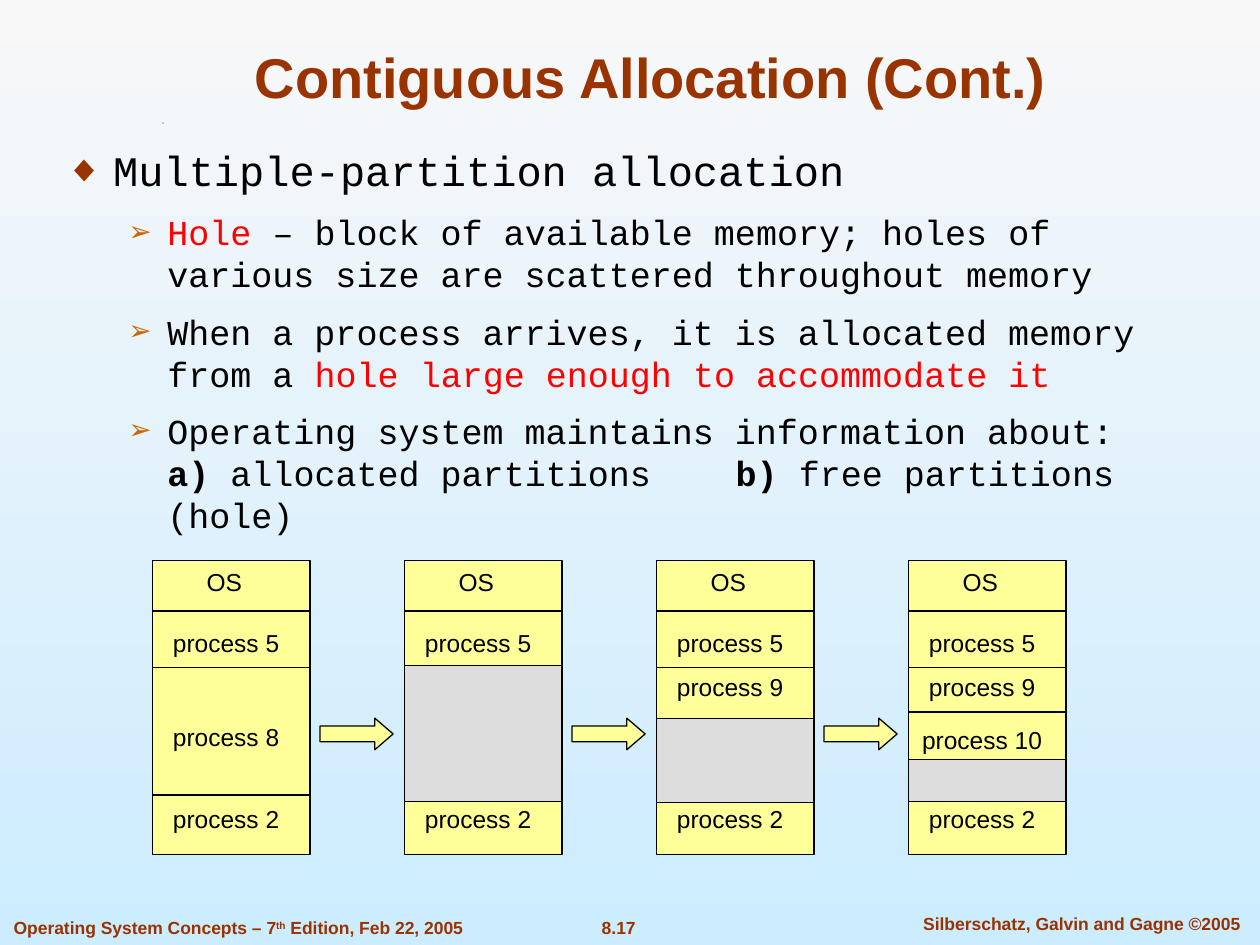
"""Build the contiguous allocation slide on a grid of 100 columns by 75 rows."""
from lxml import etree
from pptx import Presentation
from pptx.dml.color import RGBColor
from pptx.enum.shapes import MSO_CONNECTOR, MSO_SHAPE
from pptx.enum.text import MSO_ANCHOR, PP_ALIGN
from pptx.oxml.ns import qn
from pptx.util import Inches, Pt

LEFT, MID = PP_ALIGN.LEFT, PP_ALIGN.CENTER
TOP, CENTER, BASE = MSO_ANCHOR.TOP, MSO_ANCHOR.MIDDLE, MSO_ANCHOR.BOTTOM
RECT, ARROW = MSO_SHAPE.RECTANGLE, MSO_SHAPE.RIGHT_ARROW
LINE = MSO_CONNECTOR.STRAIGHT
COLORS = {
    "rust": "993300", "amber": "CC6600", "red": "FF0000", "ink": "000000",
    "used": "FFFF99", "free": "DDDDDD", "sky": "F8F8F8", "pool": "CCECFF",
}
SANS, MONO = "Arial", "Courier New"


def grid(*cells):
    return [Inches(cell / 10) for cell in cells]


def color(name):
    return RGBColor.from_string(COLORS[name])


def child(parent, tag, **attrs):
    return etree.SubElement(parent, qn(tag), attrs)


class Deck:
    """Hold the style and the current slide."""

    def __init__(self):
        self.show = Presentation()
        self.show.slide_width, self.show.slide_height = grid(100, 75)
        self.slide = self.show.slides.add_slide(self.show.slide_layouts[5])
        self.shapes = self.slide.shapes
        fill = self.slide.background.fill
        fill.gradient()
        fill.gradient_angle = 270
        for stop, name in zip(fill.gradient_stops, ("sky", "pool")):
            stop.color.rgb = color(name)

    def run(self, para, text, size, name="ink", bold=False, face=SANS, lift=0):
        run = para.add_run()
        run.text = text
        font = run.font
        font.size, font.name, font.bold = Pt(size), face, bold
        font.color.rgb = color(name)
        if lift:
            run._r.get_or_add_rPr().set("baseline", str(lift * 1000))

    def title(self, text, box):
        head = self.shapes.title
        head.left, head.top, head.width, head.height = grid(*box)
        head.text_frame.vertical_anchor = BASE
        para = head.text_frame.paragraphs[0]
        para.alignment = MID
        self.run(para, text, 32, "rust", True)

    def frame(self, box, anchor=TOP, wrap=True):
        frame = self.shapes.add_textbox(*grid(*box)).text_frame
        frame.word_wrap, frame.vertical_anchor = wrap, anchor
        return frame

    def label(self, text, box, wrap=True):
        para = self.frame(box, CENTER, wrap).paragraphs[0]
        para.alignment = MID
        self.run(para, text, 14)

    def footer(self, parts, box, align=MID, wrap=False):
        para = self.frame(box, wrap=wrap).paragraphs[0]
        para.alignment = align
        for text, lift in parts:
            self.run(para, text, 10, "rust", True, lift=lift)

    def bullet(self, para, mark, name, share, left, hang, tab):
        props = para._p.get_or_add_pPr()
        props.set("marL", str(Inches(left)))
        props.set("indent", str(-Inches(hang)))
        child(child(props, "a:buClr"), "a:srgbClr", val=COLORS[name])
        child(props, "a:buSzPct", val=str(share * 1000))
        child(props, "a:buFont", typeface=SANS)
        child(props, "a:buChar", char=mark)
        if tab:
            child(child(props, "a:tabLst"), "a:tab", pos=str(Inches(tab)), algn="l")

    def body(self, items, box):
        frame = self.frame(box)
        for row, (level, tab, lines) in enumerate(items):
            para = frame.add_paragraph() if row else frame.paragraphs[0]
            if level:
                self.bullet(para, "➢", "amber", 80, 0.81, 0.31, tab)
                para.level, para.space_before = level, Pt(8.8)
            else:
                self.bullet(para, "◆", "rust", 90, 0.38, 0.38, tab)
            for count, line in enumerate(lines):
                if count:
                    para.add_line_break()
                for text, name, bold in line:
                    self.run(para, text, 20 if level else 24, name, bold, MONO)

    def block(self, kind, fill, box):
        shape = self.shapes.add_shape(kind, *grid(*box))
        shape.shadow.inherit = False
        shape.fill.solid()
        shape.fill.fore_color.rgb = color(fill)
        shape.line.color.rgb = color("ink")
        shape.line.width = Pt(0.75)
        return shape

    def rule(self, left, top, width):
        line = self.shapes.add_connector(LINE, *grid(left, top, left + width, top))
        line.line.color.rgb = color("ink")
        line.line.width = Pt(0.75)
        child(line._element.spPr, "a:effectLst")

    def speck(self, left, top, size):
        pen = self.shapes.build_freeform(*grid(left, top + size), scale=1)
        pen.add_line_segments([grid(left, top), grid(left + size, top + size)])
        dot = pen.convert_to_shape()
        dot.shadow.inherit = False
        dot.fill.solid()
        dot.fill.fore_color.rgb = color("ink")
        dot.line.fill.background()

    def memory(self, left, labels, rules, hole):
        wide = 12.5
        self.block(RECT, "used", (left, 44.5, wide, 23.3))
        for top in (48.5, 53, 63.1, *rules):
            self.rule(left, top, wide)
        if hole:
            top, high = hole
            self.block(RECT, "free", (left, top, wide, high))
        self.label("OS", (left + 3.3, 44.5, 4.8, 3.4), False)
        for name, top in (("5", 49.3), *labels, ("2", 63.3)):
            self.label(f"process {name}", (left, top, 11.7, 3.4))

    def arrow(self, left):
        shape = self.block(ARROW, "used", (left, 57, 5.8, 2.5))
        shape.adjustments[0], shape.adjustments[1] = 0.5, 0.58


ITEMS = [
    (0, 0, [[("Multiple-partition allocation", "ink", False)]]),
    (1, 0, [[("Hole", "red", False),
             (" – block of available memory; holes of various size are "
              "scattered throughout memory", "ink", False)]]),
    (1, 0, [[("When a process arrives, it is allocated memory from a ", "ink", False),
             ("hole large enough to accommodate it", "red", False)]]),
    (1, 5.32, [[("Operating system maintains information about:", "ink", False)],
               [("a) ", "ink", True), ("allocated partitions\t", "ink", False),
                ("b) ", "ink", True), ("free partitions (hole)", "ink", False)]]),
]
STATES = [
    ([("8", 56.8)], [], None),
    ([], [], (52.8, 10.8)),
    ([("9", 52.8)], [], (57, 6.7)),
    ([("9", 52.8), ("10", 57)], [56.5], (60.3, 3.3)),
]


def main():
    deck = Deck()
    deck.footer([("8.17", 0)], (44.2, 72.3, 9.8, 2.7))
    deck.footer([("Silberschatz, Galvin and Gagne ©2005", 0)],
                (71, 72, 29.7, 2.7), wrap=True)
    deck.footer([("Operating System Concepts – 7", 0), ("th", 30),
                 (" Edition, Feb 22, 2005", 0)], (0.1, 72.3, 40, 2.7), LEFT, True)
    deck.speck(12.9, 9.7, 0.1)
    deck.title("Contiguous Allocation (Cont.)", (7.5, 2.5, 88.3, 6.7))
    deck.body(ITEMS, (4.2, 11, 90.3, 32.9))
    for step, state in enumerate(STATES):
        left = 12.1 + 20 * step
        deck.memory(left, *state)
        if step:
            deck.arrow(left - 6.7)
    deck.show.save("out.pptx")


if __name__ == "__main__":
    main()
